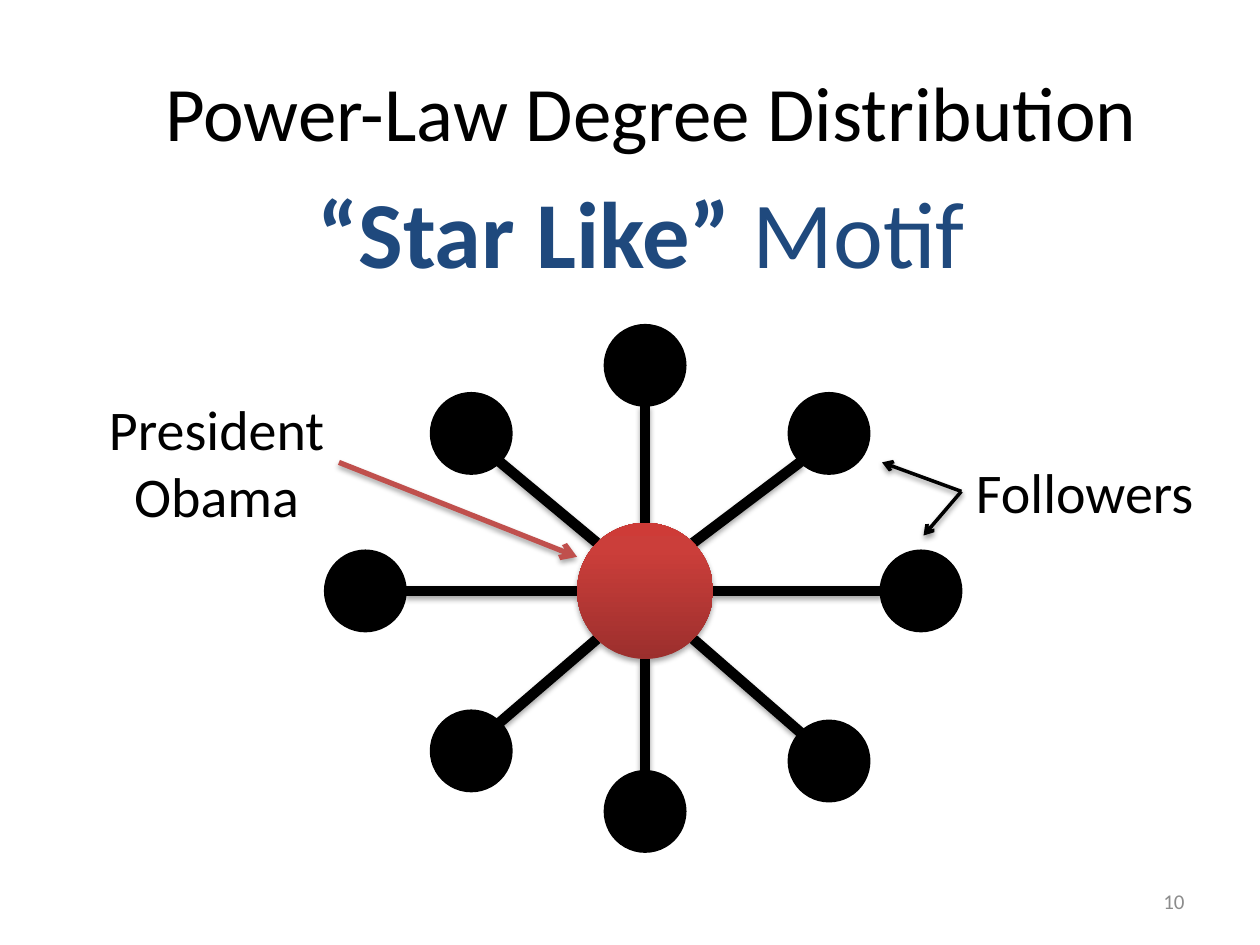
import math

import pptx
import pptx.dml.color
import pptx.enum.shapes
import pptx.enum.text
import pptx.oxml
import pptx.oxml.ns
import pptx.util
from pptx.util import Inches

RGBColor = pptx.dml.color.RGBColor
ALIGN = pptx.enum.text.PP_ALIGN
ANCHOR = pptx.enum.text.MSO_ANCHOR

BLACK = RGBColor(0x00, 0x00, 0x00)
GRAY = RGBColor(0x8C, 0x8C, 0x8C)
NAVY = RGBColor(0x1F, 0x49, 0x7D)
RED = RGBColor(0xC0, 0x50, 0x4D)
HUB_GRADIENT = [(0, RGBColor(0x9C, 0x2F, 0x2D)), (80, RGBColor(0xCB, 0x3E, 0x3A)),
                (100, RGBColor(0xCE, 0x3B, 0x37))]
FONT = "Calibri"

# Each paragraph is a list of (text, bold) runs.
TITLE = [[("Power-Law Degree Distribution", False)]]
MOTIF = [[("“Star Like”", True), (" Motif", False)]]
CENTER_LABEL = [[("President", False)], [("Obama", False)]]
FOLLOWER_LABEL = [[("Followers", False)]]
PAGE_NUMBER = [[("10", False)]]

HUB_CENTER, HUB_RADIUS = (5.12, 4.69), 0.54
FOLLOWER_RADIUS = 0.315
FOLLOWERS = [  # direction from the hub, centre
    ((-1, -1), (3.74, 3.44)),
    ((1, -1), (6.58, 3.44)),
    ((0, -1), (5.12, 2.9)),
    ((1, 0), (7.31, 4.69)),
    ((-1, 0), (2.9, 4.69)),
    ((0, 1), (5.12, 6.44)),
    ((-1, 1), (3.74, 5.96)),
    ((1, 1), (6.58, 6.04)),
]
FOLLOWER_ARROW_TIPS = [(7, 3.67), (7.33, 4.25)]


def add_text(slide, box, paragraphs, size, color, align=ALIGN.CENTER,
             anchor=ANCHOR.TOP, wrap=False):
    shape = slide.shapes.add_textbox(*map(Inches, box))
    frame = shape.text_frame
    frame.word_wrap = wrap
    frame.vertical_anchor = anchor
    if not wrap:
        frame.auto_size = pptx.enum.text.MSO_AUTO_SIZE.SHAPE_TO_FIT_TEXT
    for index, runs in enumerate(paragraphs):
        paragraph = frame.add_paragraph() if index else frame.paragraphs[0]
        paragraph.alignment = align
        for text, bold in runs:
            run = paragraph.add_run()
            run.text = text
            run.font.name = FONT
            run.font.size = pptx.util.Pt(size)
            run.font.bold = bold
            run.font.color.rgb = color
    return shape


def parse_drawing(xml):
    return pptx.oxml.parse_xml(xml.replace(">", f" {pptx.oxml.ns.nsdecls('a')}>", 1))


def soft_shadow(alpha=35):
    return parse_drawing(
        '<a:effectLst><a:outerShdw blurRad="40000" dist="23000" dir="5400000" '
        f'rotWithShape="0"><a:srgbClr val="000000"><a:alpha val="{alpha * 1000}"/>'
        '</a:srgbClr></a:outerShdw></a:effectLst>')


def add_line(slide, start, end, color, width, arrow=False, alpha=35):
    line = slide.shapes.add_connector(
        pptx.enum.shapes.MSO_CONNECTOR.STRAIGHT, *map(Inches, (*start, *end)))
    line.line.color.rgb = color
    line.line.width = pptx.util.Pt(width)
    properties = line._element.spPr
    if arrow:
        properties.find(pptx.oxml.ns.qn("a:ln")).append(
            parse_drawing('<a:tailEnd type="arrow"></a:tailEnd>'))
    properties.append(soft_shadow(alpha))
    return line


def add_circle(slide, center, radius):
    x, y = center
    circle = slide.shapes.add_shape(
        pptx.enum.shapes.MSO_SHAPE.OVAL,
        *map(Inches, (x - radius, y - radius, 2 * radius, 2 * radius)))
    circle.shadow.inherit = False
    return circle


def rim_point(center, radius, direction):
    """Point where a circle's edge meets the given direction."""
    length = math.hypot(*direction)
    return tuple(c + radius * d / length for c, d in zip(center, direction))


def add_hub(slide):
    hub = add_circle(slide, HUB_CENTER, HUB_RADIUS)
    hub.line.fill.background()
    stops = "".join(f'<a:gs pos="{position * 1000}"><a:srgbClr val="{color}"/></a:gs>'
                    for position, color in HUB_GRADIENT)
    gradient = parse_drawing(f'<a:gradFill><a:gsLst>{stops}</a:gsLst>'
                             '<a:lin ang="16200000" scaled="0"/></a:gradFill>')
    properties = hub._element.spPr
    properties.find(pptx.oxml.ns.qn("a:prstGeom")).addnext(gradient)
    properties.replace(properties.find(pptx.oxml.ns.qn("a:effectLst")), soft_shadow())


def add_star(slide):
    for direction, center in FOLLOWERS:
        inward = tuple(-d for d in direction)
        add_line(slide, rim_point(HUB_CENTER, HUB_RADIUS, direction),
                 rim_point(center, FOLLOWER_RADIUS, inward), BLACK, 6)
    add_hub(slide)
    for _, center in FOLLOWERS:
        follower = add_circle(slide, center, FOLLOWER_RADIUS)
        follower.fill.solid()
        follower.fill.fore_color.rgb = BLACK
        follower.line.color.rgb = BLACK
        follower.line.width = pptx.util.Pt(2)


def main():
    presentation = pptx.Presentation()
    presentation.slide_width, presentation.slide_height = Inches(10), Inches(7.5)
    slide = presentation.slides.add_slide(presentation.slide_layouts[6])

    add_text(slide, (0.67, 0.25, 9, 1.25), TITLE, 44, BLACK,
             anchor=ANCHOR.MIDDLE, wrap=True)
    add_text(slide, (7.17, 6.95, 2.33, 0.4), PAGE_NUMBER, 12, GRAY,
             ALIGN.RIGHT, ANCHOR.MIDDLE, wrap=True)
    add_star(slide)
    add_text(slide, (2.42, 1.33, 5.42, 1.01), MOTIF, 54, NAVY, ALIGN.LEFT)

    center_label = add_text(slide, (0.75, 3.08, 1.94, 1.18), CENTER_LABEL, 32, BLACK)
    hub_arrow = add_line(slide, (2.69, 3.67), (4.58, 4.42), RED, 3, arrow=True)
    hub_arrow.begin_connect(center_label, 3)

    follower_label = add_text(slide, (7.63, 3.58, 1.96, 0.64), FOLLOWER_LABEL, 32, BLACK)
    for tip in FOLLOWER_ARROW_TIPS:
        arrow = add_line(slide, (7.63, 3.9), tip, BLACK, 2, arrow=True, alpha=38)
        arrow.begin_connect(follower_label, 1)

    presentation.save("out.pptx")


if __name__ == "__main__":
    main()
